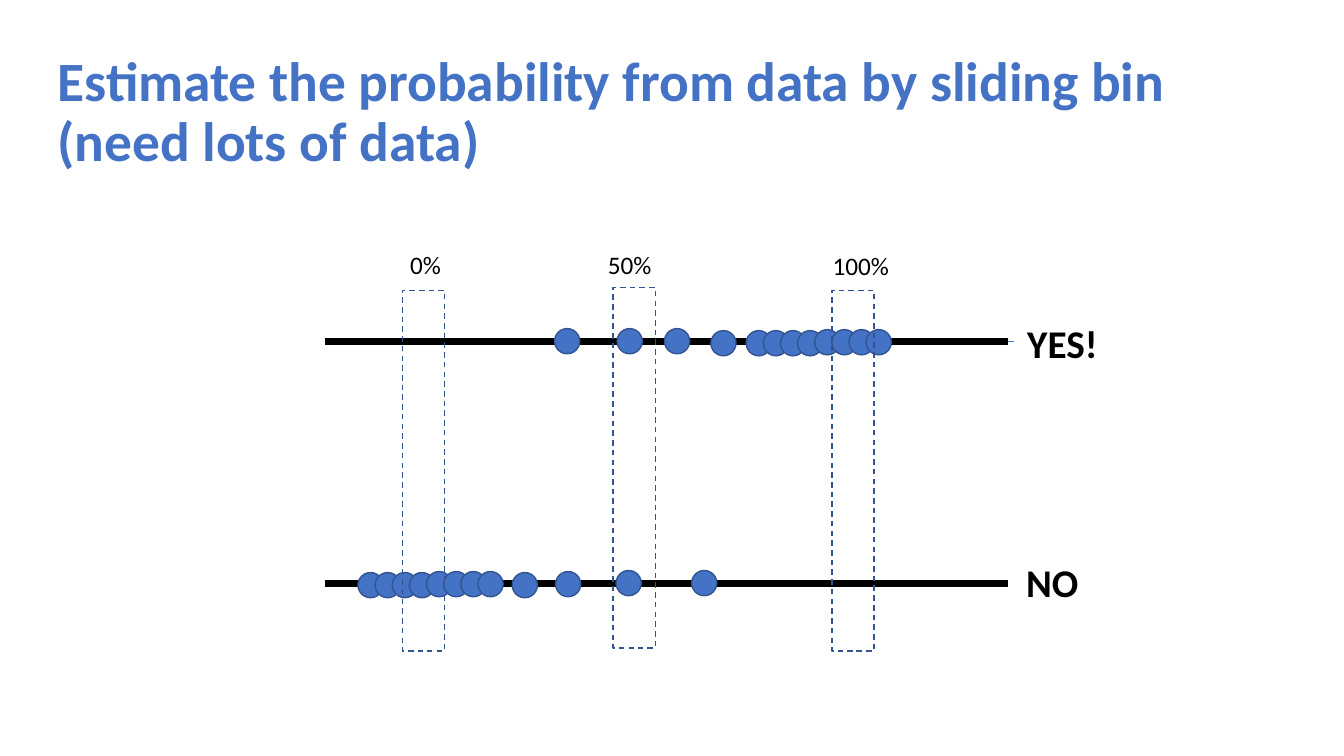
from pptx import Presentation
from pptx.dml.color import RGBColor
from pptx.enum.dml import MSO_LINE
from pptx.enum.shapes import MSO_CONNECTOR, MSO_SHAPE
from pptx.enum.text import MSO_ANCHOR, MSO_AUTO_SIZE, PP_ALIGN
from pptx.oxml.ns import qn
from pptx.util import Inches, Pt
from lxml import etree

STRAIGHT = MSO_CONNECTOR.STRAIGHT
OVAL, RECTANGLE = MSO_SHAPE.OVAL, MSO_SHAPE.RECTANGLE
DASH = MSO_LINE.DASH
MIDDLE, TOP = MSO_ANCHOR.MIDDLE, MSO_ANCHOR.TOP
LEFT = PP_ALIGN.LEFT
NO_AUTOFIT = MSO_AUTO_SIZE.NONE

BLUE, DARK_BLUE, BLACK = "4472C4", "325491", "000000"
DOT_SIZE, DOT_STEP = 0.25, 0.17
BIN_WIDTH, BIN_HEIGHT = 0.42, 3.58
AXIS_LEFT, AXIS_LENGTH = 3.22, 6.78
YES_Y, NO_Y = 3.39, 5.79


def color(hex_code):
    return RGBColor.from_string(hex_code)


class SlideBuilder:
    """Holds the shared style and the slide being built."""

    font = "Calibri"

    def __init__(self, page):
        self.page = page

    def fill_text(self, box, text, size, hex_code, bold, anchor):
        """Set and format the text of a box; return its paragraph."""
        frame = box.text_frame
        frame.text = text
        frame.word_wrap = True
        frame.auto_size = NO_AUTOFIT
        frame.vertical_anchor = anchor
        paragraph = frame.paragraphs[0]
        paragraph.alignment = LEFT
        for span in paragraph.runs:
            span.font.name = self.font
            span.font.size = Pt(size)
            span.font.bold = bold
            span.font.color.rgb = color(hex_code)
        return paragraph

    def title(self, text, left, top, width, height):
        box = self.page.shapes.title
        box.left, box.top = Inches(left), Inches(top)
        box.width, box.height = Inches(width), Inches(height)
        paragraph = self.fill_text(box, text, 39.6, BLUE, True, MIDDLE)
        paragraph.line_spacing = 0.9

    def label(self, text, left, top, width, height, size, bold=False):
        box = self.page.shapes.add_textbox(
            Inches(left), Inches(top), Inches(width), Inches(height))
        self.fill_text(box, text, size, BLACK, bold, TOP)

    def axis(self, left, y, hex_code, weight):
        line = self.page.shapes.add_connector(
            STRAIGHT, Inches(left), Inches(y),
            Inches(left + AXIS_LENGTH), Inches(y))
        line.line.color.rgb = color(hex_code)
        line.line.width = Pt(weight)
        etree.SubElement(line._element.spPr, qn("a:effectLst"))

    def outlined(self, kind, left, top, width, height):
        shape = self.page.shapes.add_shape(
            kind, Inches(left), Inches(top), Inches(width), Inches(height))
        shape.shadow.inherit = False
        shape.line.color.rgb = color(DARK_BLUE)
        shape.line.width = Pt(1)
        return shape

    def dot(self, left, top):
        shape = self.outlined(OVAL, left, top, DOT_SIZE, DOT_SIZE)
        shape.fill.solid()
        shape.fill.fore_color.rgb = color(BLUE)

    def dot_cluster(self, left, top):
        """Draw eight overlapping dots, the last four slightly higher."""
        for index in range(8):
            rise = 0.01 if index >= 4 else 0
            self.dot(left + index * DOT_STEP, top - rise)

    def sliding_bin(self, left, top):
        shape = self.outlined(RECTANGLE, left, top, BIN_WIDTH, BIN_HEIGHT)
        shape.fill.background()
        shape.line.dash_style = DASH


def main():
    deck = Presentation()
    deck.slide_width, deck.slide_height = Inches(13.33), Inches(7.5)
    builder = SlideBuilder(deck.slides.add_slide(deck.slide_layouts[5]))

    builder.title("Estimate the probability from data by sliding bin\v"
                  "(need lots of data)", 0.47, 0.4, 11.94, 1.45)

    builder.axis(AXIS_LEFT, NO_Y, BLACK, 5)
    builder.axis(AXIS_LEFT + 0.06, YES_Y, BLUE, 0.5)
    builder.axis(AXIS_LEFT, YES_Y, BLACK, 5)

    builder.dot_cluster(3.55, 5.68)
    builder.dot_cluster(7.4, 3.28)
    no_dots = [(5.08, 5.68), (5.51, 5.67), (6.11, 5.66), (6.86, 5.66)]
    yes_dots = [(7.05, 3.28), (6.59, 3.26), (6.12, 3.26), (5.5, 3.26)]
    for left, top in no_dots + yes_dots:
        builder.dot(left, top)

    builder.label("YES!", 10.09, 3.12, 1.2, 0.57, 28, bold=True)
    builder.label("NO", 10.08, 5.49, 1.2, 0.57, 28, bold=True)

    for left, top in [(8.25, 2.88), (3.99, 2.88), (6.08, 2.85)]:
        builder.sliding_bin(left, top)
    for text, left, top, width in [("100%", 8.16, 2.43, 0.96),
                                   ("0%", 3.97, 2.42, 0.72),
                                   ("50%", 5.93, 2.42, 0.72)]:
        builder.label(text, left, top, width, 0.4, 18)

    deck.save("out.pptx")


if __name__ == "__main__":
    main()
